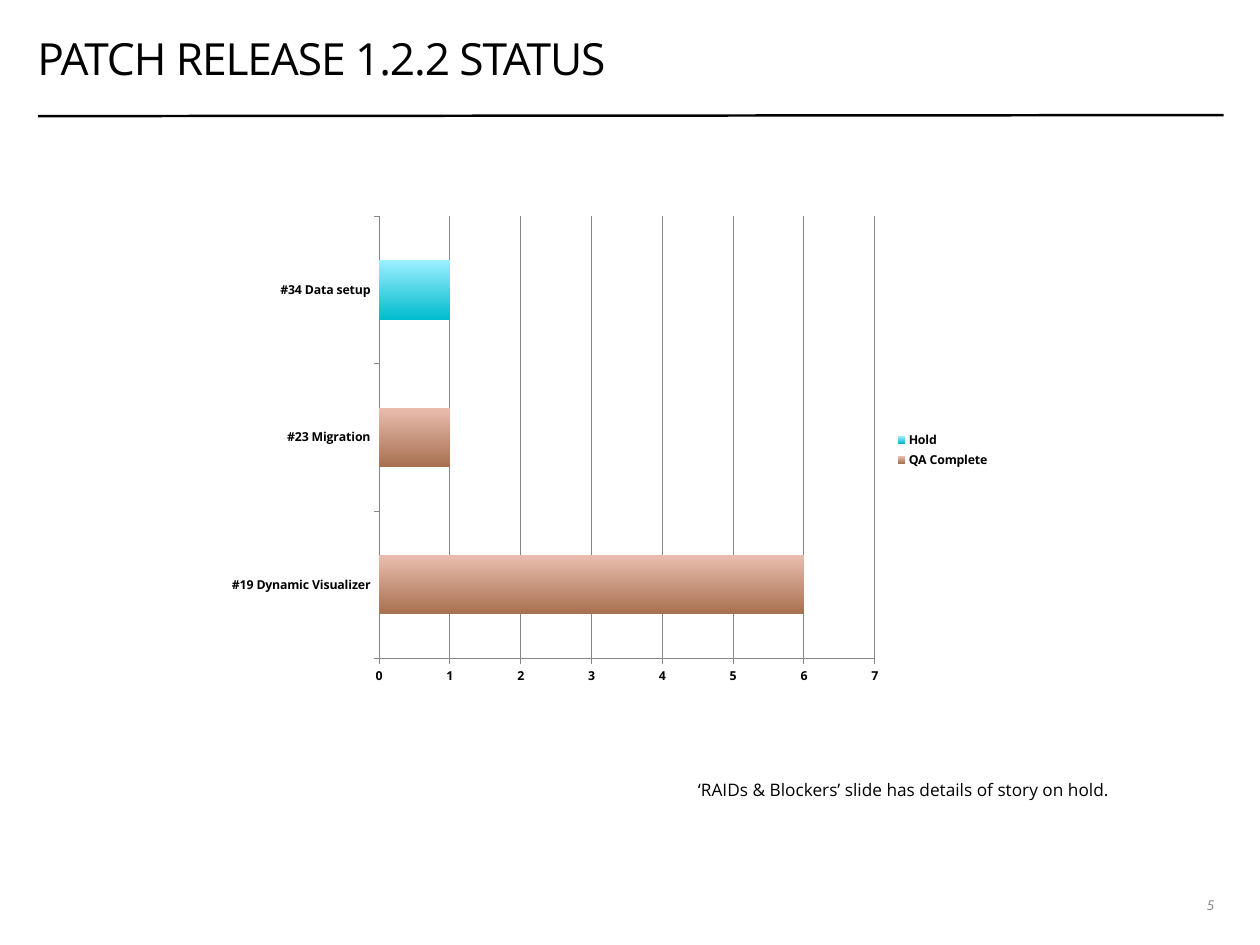
import pptx
import pptx.chart.data
import pptx.enum.chart
import pptx.enum.shapes
import pptx.enum.text
import pptx.oxml
import pptx.util
from pptx.util import Cm

COLORS = {
    "text": "000000",
    "muted": "808184",
    "grid": "868686",
    "hold_light": "9DEFFF",
    "hold": "00BCCD",
    "complete_light": "E9BDAE",
    "complete": "A87050",
}


def rgb(name):
    return pptx.dml.color.RGBColor.from_string(COLORS[name])


def write(tf, text, size, font, color="text", italic=False, align=None,
          line_spacing=None, tracking=None):
    """Write one paragraph; tracking is in hundredths of a point."""
    p = tf.paragraphs[0]
    p.alignment = align
    p.line_spacing = line_spacing
    r = p.add_run()
    r.text = text
    r.font.name = font
    r.font.size = pptx.util.Pt(size)
    r.font.italic = italic
    r.font.color.rgb = rgb(color)
    if tracking is not None:
        r.font._element.set("spc", str(tracking))


class StatusSlide:
    font = "Open Sans"

    def __init__(self, prs):
        self.s = prs.slides.add_slide(prs.slide_layouts[6])

    def text(self, text, left, top, width, height, size, wrap=True,
             margin=None, anchor=None, **fmt):
        tf = self.s.shapes.add_textbox(
            Cm(left), Cm(top), Cm(width), Cm(height)).text_frame
        tf.word_wrap = wrap
        tf.vertical_anchor = anchor
        if margin is not None:
            tf.margin_left = tf.margin_right = Cm(margin)
            tf.margin_top = tf.margin_bottom = Cm(margin)
        write(tf, text, size, self.font, **fmt)

    def rule(self, x1, y1, x2, y2, width):
        sp = self.s.shapes.add_connector(
            pptx.enum.shapes.MSO_CONNECTOR.STRAIGHT,
            Cm(x1), Cm(y1), Cm(x2), Cm(y2))
        sp.line.color.rgb = rgb("text")
        sp.line.width = pptx.util.Pt(width)
        sp._element.spPr.append(pptx.oxml.parse_xml(
            '<a:effectLst xmlns:a='
            '"http://schemas.openxmlformats.org/drawingml/2006/main"/>'))

    def stacked_bars(self, left, top, width, height, categories, series):
        """Series maps each name to its values, top colour and bottom colour."""
        data = pptx.chart.data.CategoryChartData()
        data.categories = categories
        for name, (values, _, _) in series.items():
            data.add_series(name, values)
        chart = self.s.shapes.add_chart(
            pptx.enum.chart.XL_CHART_TYPE.BAR_STACKED,
            Cm(left), Cm(top), Cm(width), Cm(height), data).chart
        chart.has_title = False
        chart.font.name = self.font
        chart.font.size = pptx.util.Pt(10)
        chart.font.bold = True
        chart.font.color.rgb = rgb("text")

        plot = chart.plots[0]
        plot.gap_width = 150
        plot.overlap = 100
        plot.vary_by_categories = False
        for bar, (_, *shades) in zip(plot.series, series.values()):
            fill = bar.format.fill
            fill.gradient()
            fill.gradient_angle = 270
            for stop, shade in zip(fill.gradient_stops, shades):
                stop.color.rgb = rgb(shade)

        values_axis = chart.value_axis
        values_axis.minimum_scale = 0
        values_axis.maximum_scale = 7
        values_axis.major_unit = 1
        values_axis.has_major_gridlines = True
        lines = [axis.format.line for axis in (chart.category_axis, values_axis)]
        for line in lines + [values_axis.major_gridlines.format.line]:
            line.color.rgb = rgb("grid")
            line.width = pptx.util.Pt(0.75)
        for axis in (chart.category_axis, values_axis):
            axis.major_tick_mark = pptx.enum.chart.XL_TICK_MARK.OUTSIDE

        chart.has_legend = True
        chart.legend.position = pptx.enum.chart.XL_LEGEND_POSITION.RIGHT
        chart.legend.include_in_layout = False


def main():
    prs = pptx.Presentation()
    prs.slide_width, prs.slide_height = Cm(36.12), Cm(27.1)
    slide = StatusSlide(prs)
    slide.rule(1.09, 3.33, 35.08, 3.3, 2)
    slide.text("PATCH RELEASE 1.2.2 STATUS", 1.07, 0.84, 34, 2, 36, margin=0,
               anchor=pptx.enum.text.MSO_ANCHOR.MIDDLE,
               line_spacing=0.7, tracking=-90)
    slide.text("5", 34.32, 25.6, 0.74, 0.81, 11, wrap=False, color="muted",
               italic=True, align=pptx.enum.text.PP_ALIGN.RIGHT)
    slide.text("‘RAIDs & Blockers’ slide has details of story on hold.",
               19.76, 22.23, 15.24, 0.86, 14)
    slide.stacked_bars(
        6.2, 5.92, 22.43, 13.97,
        ["#19 Dynamic Visualizer", "#23 Migration", "#34 Data setup"],
        {"Hold": ([None, None, 1], "hold_light", "hold"),
         "QA Complete": ([6, 1, None], "complete_light", "complete")})
    prs.save("out.pptx")


if __name__ == "__main__":
    main()
